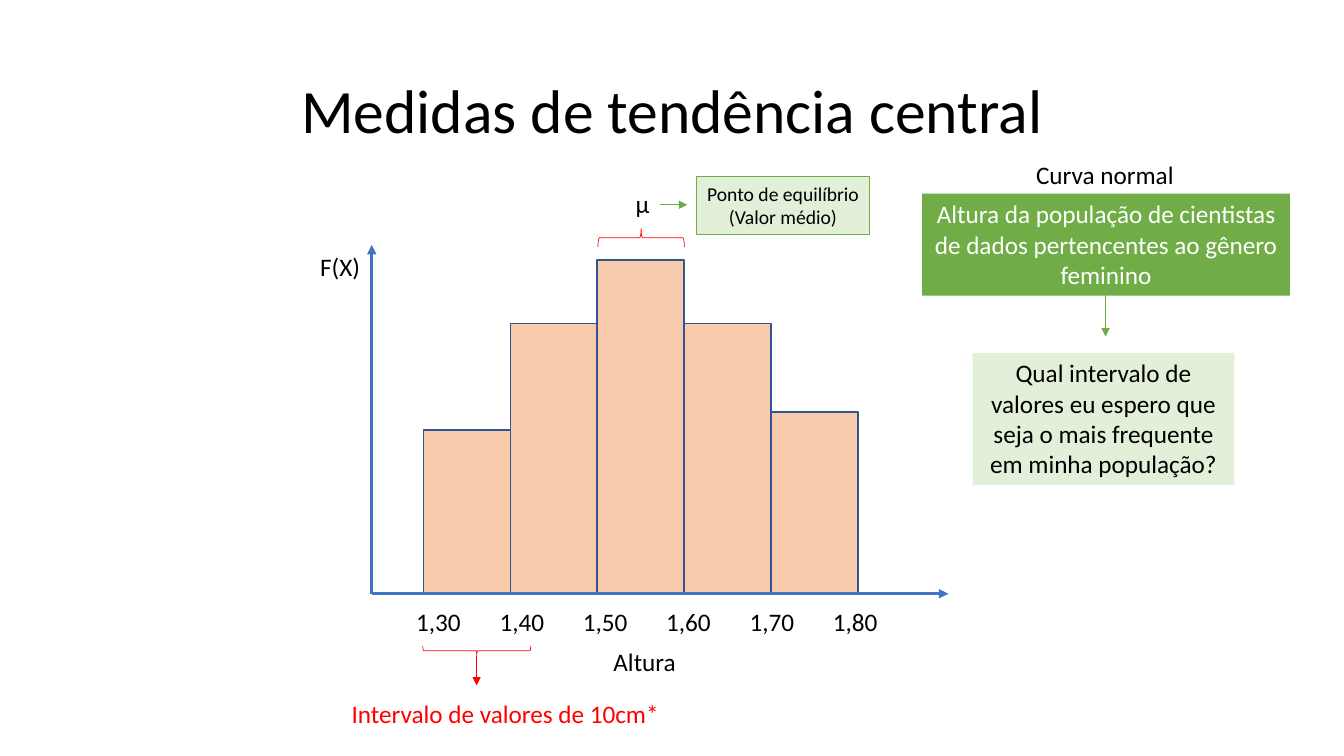
from dataclasses import dataclass
from typing import Any, Optional

from pptx import Presentation
from pptx.dml.color import RGBColor
from pptx.enum.shapes import MSO_CONNECTOR, MSO_SHAPE
from pptx.enum.text import MSO_ANCHOR, MSO_AUTO_SIZE, PP_ALIGN
from pptx.oxml.ns import qn
from pptx.util import Cm, Pt
from lxml.etree import SubElement

BLACK = RGBColor(0x00, 0x00, 0x00)
WHITE = RGBColor(0xFF, 0xFF, 0xFF)
RED = RGBColor(0xFF, 0x00, 0x00)
BLUE = RGBColor(0x44, 0x72, 0xC4)
NAVY = RGBColor(0x32, 0x54, 0x91)
PEACH = RGBColor(0xF8, 0xCB, 0xAD)
GREEN = RGBColor(0x70, 0xAD, 0x47)
PALE_GREEN = RGBColor(0xE2, 0xF0, 0xD9)

AXIS_X, AXIS_Y = 9.37, 14.96
BAR_LEFT, BAR_WIDTH = 10.67, 2.19
BAR_HEIGHTS = (4.12, 6.81, 8.41, 6.81, 4.58)
TICK_LEFT, TICK_STEP = 10.24, 2.1
TICKS = ("1,30", "1,40", "1,50", "1,60", "1,70", "1,80")


@dataclass
class Label:
    text: str
    left: float
    top: float
    width: float
    height: float = 1.02
    size: int = 18
    color: RGBColor = BLACK
    align: PP_ALIGN = PP_ALIGN.LEFT
    wrap: bool = False


@dataclass
class Block:
    left: float
    top: float
    width: float
    height: float
    fill: Optional[RGBColor] = None
    line: Optional[RGBColor] = None
    weight: float = 1
    kind: MSO_SHAPE = MSO_SHAPE.RECTANGLE
    rotation: int = 0


@dataclass
class Arrow:
    x1: float
    y1: float
    x2: float
    y2: float
    color: RGBColor
    weight: float = 0.5


def set_format(obj: Any, values: dict[str, Any]) -> None:
    for name, value in values.items():
        setattr(obj, name, value)


def write_text(sp: Any, label: Label) -> None:
    tf = sp.text_frame
    set_format(tf, {"word_wrap": label.wrap, "auto_size": MSO_AUTO_SIZE.SHAPE_TO_FIT_TEXT})
    tf.text = label.text
    for p in tf.paragraphs:
        p.alignment = label.align
        set_format(p.font, {"name": "Calibri", "size": Pt(label.size)})
        p.font.color.rgb = label.color


def add_label(s: Any, label: Label) -> Any:
    sp = s.shapes.add_textbox(Cm(label.left), Cm(label.top), Cm(label.width), Cm(label.height))
    write_text(sp, label)
    return sp


def add_block(s: Any, block: Block) -> Any:
    sp = s.shapes.add_shape(
        block.kind, Cm(block.left), Cm(block.top), Cm(block.width), Cm(block.height)
    )
    sp.shadow.inherit = False
    sp.rotation = block.rotation
    if block.fill is None:
        sp.fill.background()
    else:
        sp.fill.solid()
        sp.fill.fore_color.rgb = block.fill
    if block.line is None:
        sp.line.fill.background()
    else:
        sp.line.color.rgb = block.line
        sp.line.width = Pt(block.weight)
    return sp


def add_text_block(s: Any, block: Block, text: str, size: int, color: RGBColor, wrap: bool) -> None:
    label = Label(text, block.left, block.top, block.width, block.height,
                  size, color, PP_ALIGN.CENTER, wrap)
    sp = add_block(s, block)
    write_text(sp, label)
    sp.text_frame.vertical_anchor = MSO_ANCHOR.TOP


def add_arrow(s: Any, arrow: Arrow) -> None:
    cn = s.shapes.add_connector(
        MSO_CONNECTOR.STRAIGHT, Cm(arrow.x1), Cm(arrow.y1), Cm(arrow.x2), Cm(arrow.y2)
    )
    cn.line.color.rgb = arrow.color
    cn.line.width = Pt(arrow.weight)
    SubElement(cn.line._get_or_add_ln(), qn("a:tailEnd"), type="triangle")
    SubElement(cn._element.spPr, qn("a:effectLst"))


def main() -> None:
    prs = Presentation()
    set_format(prs, {"slide_width": Cm(33.87), "slide_height": Cm(19.05)})
    s = prs.slides.add_slide(prs.slide_layouts[6])

    title = add_label(s, Label("Medidas de tendência central", 2.34, 1.02, 29.21, 3.68,
                               44, BLACK, PP_ALIGN.CENTER, True))
    set_format(title.text_frame, {"auto_size": MSO_AUTO_SIZE.NONE,
                                  "vertical_anchor": MSO_ANCHOR.MIDDLE})
    title.text_frame.paragraphs[0].line_spacing = 0.9

    for i, height in enumerate(BAR_HEIGHTS):
        add_block(s, Block(BAR_LEFT + i * BAR_WIDTH, AXIS_Y - height, BAR_WIDTH, height,
                           PEACH, NAVY))
    for i, tick in enumerate(TICKS):
        add_label(s, Label(tick, TICK_LEFT + i * TICK_STEP, 15.16, 1.65))

    for label in (
        Label("F(X)", 7.82, 6.22, 1.52),
        Label("Altura", 15.21, 16.15, 2.11),
        Label("Intervalo de valores de 10cm*", 8.61, 17.48, 8.36, color=RED),
        Label("Curva normal", 25.86, 3.89, 4.01),
        Label("µ", 15.77, 4.62, 0.86),
    ):
        add_label(s, label)

    for brace in (
        Block(11.89, 15.04, 0.25, 2.72, None, RED, 0.5, MSO_SHAPE.RIGHT_BRACE, 90),
        Block(15.93, 4.9, 0.46, 2.18, None, RED, 0.5, MSO_SHAPE.RIGHT_BRACE, 270),
    ):
        add_block(s, brace)

    for block, text, size, color, wrap in (
        (Block(23.24, 4.88, 9.27, 2.57, GREEN),
         "Altura da população de cientistas de dados pertencentes ao gênero feminino",
         18, WHITE, True),
        (Block(24.51, 8.89, 6.6, 3.33, PALE_GREEN),
         "Qual intervalo de valores eu espero que seja o mais frequente em minha população?",
         18, BLACK, True),
        (Block(17.55, 4.45, 4.37, 1.45, PALE_GREEN, GREEN, 0.75),
         "Ponto de equilíbrio\n(Valor médio)", 14, BLACK, False),
    ):
        add_text_block(s, block, text, size, color, wrap)

    for arrow in (
        Arrow(AXIS_X, AXIS_Y, AXIS_X, 6.17, BLUE, 2.25),
        Arrow(AXIS_X, AXIS_Y, 23.9, AXIS_Y, BLUE, 2.25),
        Arrow(12.01, 16.54, 12.01, 17.27, RED),
        Arrow(27.86, 7.44, 27.86, 8.48, GREEN),
        Arrow(16.64, 5.16, 17.32, 5.16, GREEN),
    ):
        add_arrow(s, arrow)

    prs.save("out.pptx")


if __name__ == "__main__":
    main()
